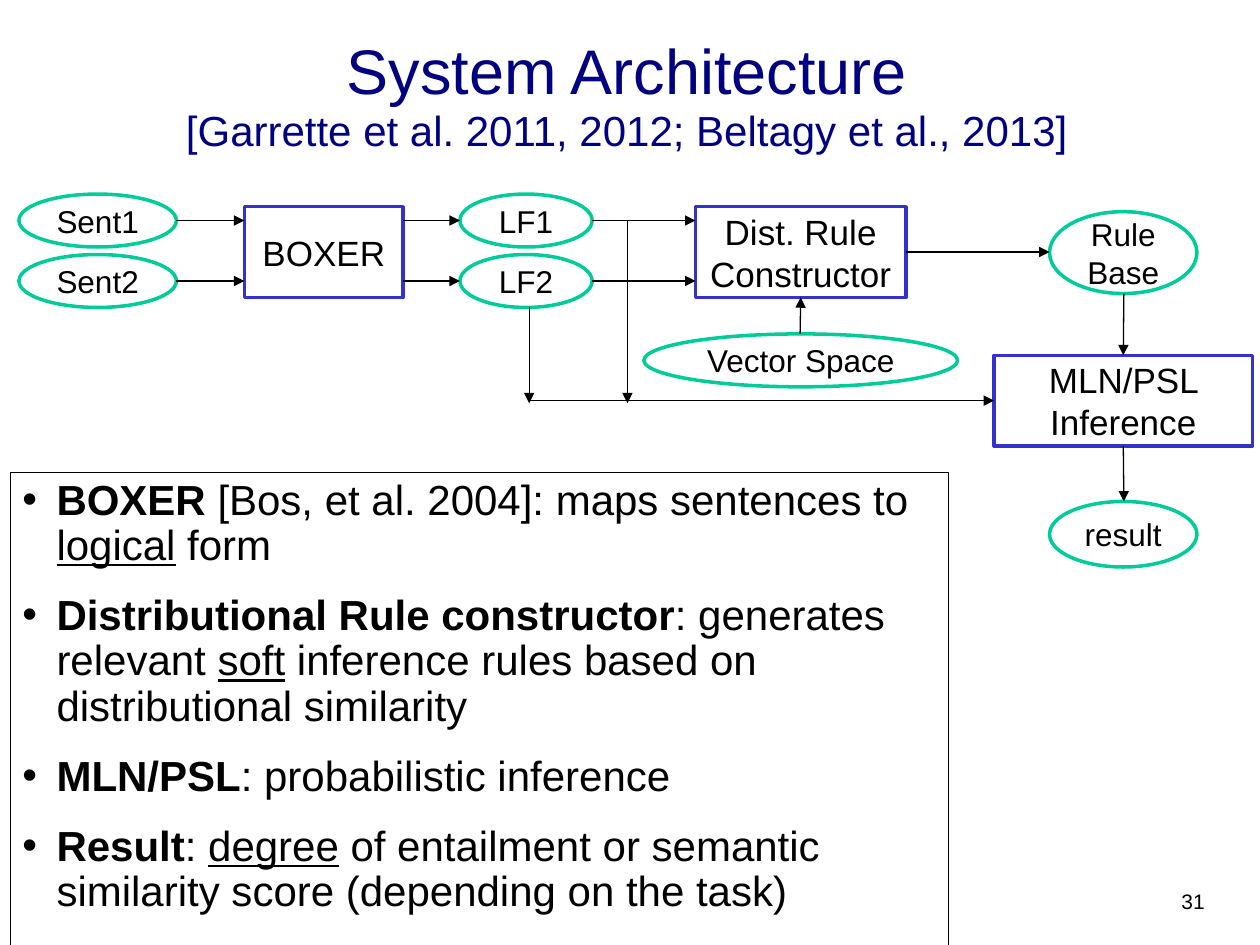
from lxml import etree
from pptx import Presentation
from pptx.dml.color import RGBColor
from pptx.enum.shapes import MSO_CONNECTOR, MSO_SHAPE
from pptx.enum.text import MSO_ANCHOR, PP_ALIGN
from pptx.oxml.ns import qn
from pptx.util import Inches, Pt

OVAL, BOX = MSO_SHAPE.OVAL, MSO_SHAPE.RECTANGLE
STRAIGHT = MSO_CONNECTOR.STRAIGHT
MIDDLE, TOP_ANCHOR = MSO_ANCHOR.MIDDLE, MSO_ANCHOR.TOP
CENTER, RIGHT_ALIGN = PP_ALIGN.CENTER, PP_ALIGN.RIGHT
TOP, LEFT, BOTTOM, RIGHT = range(4)

FONT = "Arial"
COLORS = {"text": "000000", "title": "000080", "data": "00CC99",
          "module": "3333CC", "fill": "FFFFFF"}
ROWS = ((1.54, 1.75), (2.02, 2.23))
BUS_Y = 3.18
NOTES = [
    [("BOXER", "bold"), (" [Bos, et al. 2004]: maps sentences to ", ""),
     ("logical", "underline"), (" form", "")],
    [("Distributional Rule constructor", "bold"), (": generates relevant ", ""),
     ("soft", "underline"),
     (" inference rules based on distributional similarity", "")],
    [("MLN/PSL", "bold"), (": probabilistic inference", "")],
    [("Result", "bold"), (": ", ""), ("degree", "underline"),
     (" of entailment or semantic similarity score (depending on the task)", "")],
]


def color(name):
    """Return a palette colour."""
    return RGBColor.from_string(COLORS[name])


def style_run(run, size, ink="text"):
    """Set the font, size and colour of a run."""
    run.font.name = FONT
    run.font.size = Pt(size)
    run.font.color.rgb = color(ink)


def write(frame, text, sizes, align, anchor, ink="text"):
    """Fill a frame with aligned text, sizing its runs in turn."""
    frame.word_wrap = True
    frame.vertical_anchor = anchor
    frame.text = text
    for paragraph in frame.paragraphs:
        paragraph.alignment = align
        for run, size in zip(paragraph.runs, sizes):
            style_run(run, size, ink)


def add_label(slide, text, area, sizes, align, anchor, ink="text"):
    """Add a plain text box and return its frame."""
    frame = slide.shapes.add_textbox(*map(Inches, area)).text_frame
    write(frame, text, sizes, align, anchor, ink)
    return frame


def add_node(slide, kind, text, area, outline, size):
    """Add an outlined diagram node."""
    node = slide.shapes.add_shape(kind, *map(Inches, area))
    node.shadow.inherit = False
    node.fill.solid()
    node.fill.fore_color.rgb = color("fill")
    node.line.color.rgb = color(outline)
    node.line.width = Pt(2)
    write(node.text_frame, text, [size], CENTER, MIDDLE)
    return node


def add_data(slide, text, *area):
    """Add an ellipse for a piece of data."""
    return add_node(slide, OVAL, text, area, "data", 18)


def add_module(slide, text, *area):
    """Add a rectangle for a processing module."""
    return add_node(slide, BOX, text, area, "module", 20)


def add_arrow(slide, start, end, source=None, target=None):
    """Add an arrow, optionally joined to (module, side) at either end."""
    arrow = slide.shapes.add_connector(STRAIGHT, *map(Inches, start + end))
    if source:
        arrow.begin_connect(*source)
    if target:
        arrow.end_connect(*target)
    arrow.line.color.rgb = color("text")
    arrow.line.width = Pt(0.75)
    etree.SubElement(arrow.line._get_or_add_ln(), qn("a:tailEnd"), type="triangle")
    etree.SubElement(arrow._element.spPr, qn("a:effectLst"))


def add_bullet(paragraph, segments):
    """Write one bulleted note from styled segments."""
    paragraph.line_spacing = 0.9
    paragraph.space_after = Pt(14.2)
    properties = paragraph._p.get_or_add_pPr()
    properties.set("marL", str(Inches(0.27)))
    properties.set("indent", str(Inches(-0.27)))
    etree.SubElement(properties, qn("a:buFont"), typeface=FONT)
    etree.SubElement(properties, qn("a:buChar"), char="•")
    for text, emphasis in segments:
        run = paragraph.add_run()
        run.text = text
        style_run(run, 24)
        run.font.bold = emphasis == "bold"
        run.font.underline = emphasis == "underline"


def add_notes(slide):
    """Add the framed list that explains the modules."""
    panel = slide.shapes.add_textbox(*map(Inches, (0.08, 3.75, 7.45, 3.75)))
    panel.line.color.rgb = color("text")
    panel.line.width = Pt(0.5)
    frame = panel.text_frame
    frame.word_wrap = True
    for index, segments in enumerate(NOTES):
        paragraph = frame.add_paragraph() if index else frame.paragraphs[0]
        add_bullet(paragraph, segments)


def add_diagram(slide):
    """Draw the pipeline from sentences to result."""
    add_module(slide, "BOXER", 1.94, 1.64, 1.26, 0.72)
    constructor = add_module(slide, "Dist. Rule\nConstructor", 5.52, 1.64, 1.67, 0.72)
    inference = add_module(slide, "MLN/PSL Inference", 7.89, 2.82, 2.05, 0.72)
    add_data(slide, "Rule Base", 8.33, 1.68, 1.17, 0.65)
    add_data(slide, "result", 8.33, 3.98, 1.17, 0.52)
    add_data(slide, "Vector Space", 5.11, 2.65, 2.49, 0.42)

    for number, (top, flow_y) in enumerate(ROWS, 1):
        add_data(slide, f"Sent{number}", 0.15, top, 1.25, 0.42)
        add_data(slide, f"LF{number}", 3.65, top, 1.05, 0.42)
        for start_x, end_x in ((1.4, 1.94), (3.2, 3.65), (4.7, 5.52)):
            add_arrow(slide, (start_x, flow_y), (end_x, flow_y))

    add_arrow(slide, (6.35, 2.65), (6.35, 2.36), target=(constructor, BOTTOM))
    add_arrow(slide, (7.19, 2), (8.33, 2), source=(constructor, RIGHT))
    add_arrow(slide, (8.92, 2.33), (8.92, 2.82), target=(inference, TOP))
    add_arrow(slide, (8.92, 3.54), (8.92, 3.98), source=(inference, BOTTOM))
    add_arrow(slide, (4.98, 1.75), (4.98, BUS_Y + 0.02))
    add_arrow(slide, (4.2, 2.44), (4.2, BUS_Y + 0.02))
    add_arrow(slide, (4.2, BUS_Y), (7.89, BUS_Y), target=(inference, LEFT))


def main():
    """Build and save the slide."""
    deck = Presentation()
    deck.slide_width, deck.slide_height = Inches(10), Inches(7.5)
    slide = deck.slides.add_slide(deck.slide_layouts[6])
    title = add_label(
        slide,
        "System Architecture\v[Garrette et al. 2011, 2012; Beltagy et al., 2013]",
        (0.75, 0.22, 8.45, 1.1), (36, 24), CENTER, MIDDLE, "title")
    title.paragraphs[0].line_spacing = 0.93
    add_label(slide, "31", (7.58, 7, 2.08, 0.5), [12], RIGHT_ALIGN, TOP_ANCHOR)
    add_diagram(slide)
    add_notes(slide)
    deck.save("out.pptx")


if __name__ == "__main__":
    main()
